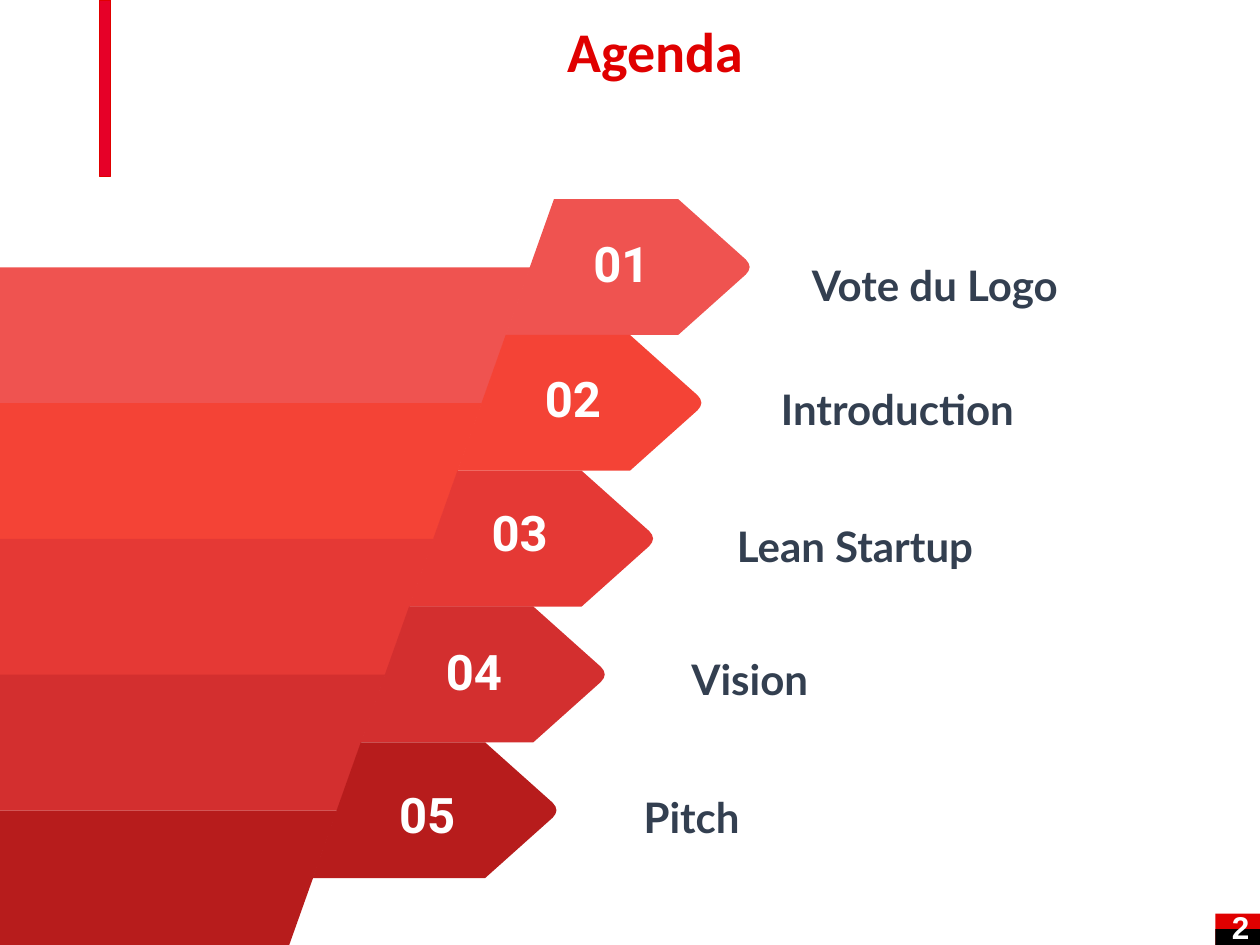
from typing import NamedTuple

from pptx import Presentation
from pptx.dml.color import RGBColor
from pptx.enum.shapes import MSO_SHAPE
from pptx.enum.text import MSO_ANCHOR, MSO_AUTO_SIZE, PP_ALIGN
from pptx.util import Pt

RECT = MSO_SHAPE.RECTANGLE
TOP, MIDDLE = MSO_ANCHOR.TOP, MSO_ANCHOR.MIDDLE
LEFT, CENTER, RIGHT = PP_ALIGN.LEFT, PP_ALIGN.CENTER, PP_ALIGN.RIGHT
GROW, NO_GROW = MSO_AUTO_SIZE.SHAPE_TO_FIT_TEXT, MSO_AUTO_SIZE.NONE

WHITE = RGBColor(0xFF, 0xFF, 0xFF)
BLACK = RGBColor(0x00, 0x00, 0x00)
RED = RGBColor(0xE0, 0x00, 0x00)
BAR_RED = RGBColor(0xE6, 0x00, 0x28)
SLATE = RGBColor(0x33, 0x3F, 0x50)

# Every step lies one band lower and a little further left than the one before.
STEP_X, STEP_Y = -27.6, 77.6
BAND = [(0, 152.8), (303, 152.8), (275.4, 230.4), (0, 230.4)]
HEAD = [(316.6, 113.8), (387.6, 113.8), (426.2, 148.3), (427.8, 150.4),
        (428.4, 152.6), (427.8, 154.8), (426.2, 156.9), (387.6, 191.4),
        (289, 191.4)]


class Style(NamedTuple):
    font: str
    size: float
    color: RGBColor
    align: PP_ALIGN = LEFT
    spacing: float = 1.0


class Step(NamedTuple):
    label: str
    color: RGBColor
    number_at: tuple[float, float]
    label_at: tuple[float, float]


TITLE = Style("Calibri", 32, RED, CENTER, 0.75)
NUMBER = Style("Roboto", 28, WHITE)
LABEL = Style("Lato", 24, SLATE, spacing=1.3)
PAGE = Style("Arial", 18, WHITE, RIGHT)

STEPS = [
    Step("Vote du Logo", RGBColor(0xEF, 0x53, 0x50), (332, 130), (456.8, 136)),
    Step("Introduction", RGBColor(0xF4, 0x43, 0x36), (304.3, 207), (439.2, 207)),
    Step("Lean Startup", RGBColor(0xE5, 0x39, 0x35), (273.8, 283.7), (414, 285)),
    Step("Vision", RGBColor(0xD3, 0x2F, 0x2F), (247.7, 363), (388, 361.4)),
    Step("Pitch", RGBColor(0xB7, 0x1C, 0x1C), (221, 444.5), (360.7, 440)),
]


def paint(sp, color: RGBColor) -> None:
    sp.shadow.inherit = False
    sp.fill.solid()
    sp.fill.fore_color.rgb = color
    sp.line.fill.background()


def add_rect(shapes, x: float, y: float, w: float, h: float, color: RGBColor):
    sp = shapes.add_shape(RECT, Pt(x), Pt(y), Pt(w), Pt(h))
    paint(sp, color)
    return sp


def add_outline(shapes, points: list, dx: float, dy: float, color: RGBColor) -> None:
    """Draw a closed polygon, moved by dx and dy."""
    start, *rest = [(Pt(x + dx), Pt(y + dy)) for x, y in points]
    builder = shapes.build_freeform(*start, scale=1.0)
    builder.add_line_segments(rest, close=True)
    paint(builder.convert_to_shape(), color)


def add_text(shapes, text: str, x: float, y: float, w: float, h: float,
             style: Style, wrap: bool = True, auto_size=GROW):
    tf = shapes.add_textbox(Pt(x), Pt(y), Pt(w), Pt(h)).text_frame
    tf.word_wrap = wrap
    tf.auto_size = auto_size
    tf.vertical_anchor = TOP
    p = tf.paragraphs[0]
    p.text = text
    p.alignment = style.align
    p.line_spacing = style.spacing
    p.font.name = style.font
    p.font.size = Pt(style.size)
    p.font.bold = True
    p.font.color.rgb = style.color
    return tf


def add_page_number(shapes, number: int) -> None:
    add_rect(shapes, 694.5, 522, 25.5, 18, RED)
    add_rect(shapes, 694.5, 531, 25.5, 9, BLACK)
    tf = add_text(shapes, str(number), 694.5, 520.8, 19.5, 18, PAGE, auto_size=NO_GROW)
    tf.vertical_anchor = MIDDLE
    tf.margin_left = tf.margin_right = tf.margin_top = tf.margin_bottom = 0


def add_step(shapes, index: int, step: Step) -> None:
    for outline in (BAND, HEAD):
        add_outline(shapes, outline, index * STEP_X, index * STEP_Y, step.color)
    add_text(shapes, f"{index + 1:02}", *step.number_at, 58.3, 50.4, NUMBER, wrap=False)
    add_text(shapes, step.label, *step.label_at, 232, 41.8, LABEL)


def main() -> None:
    prs = Presentation()
    prs.slide_width, prs.slide_height = Pt(720), Pt(540)
    shapes = prs.slides.add_slide(prs.slide_layouts[6]).shapes

    bar = add_rect(shapes, 57, 0, 6, 100.8, BAR_RED)
    bar.line.color.rgb = RED
    bar.line.width = Pt(0.75)
    add_page_number(shapes, 2)
    for index, step in enumerate(STEPS):
        add_step(shapes, index, step)
    add_text(shapes, "Agenda", 64.8, 15, 619.2, 44, TITLE, auto_size=NO_GROW)

    prs.save("out.pptx")


if __name__ == "__main__":
    main()
